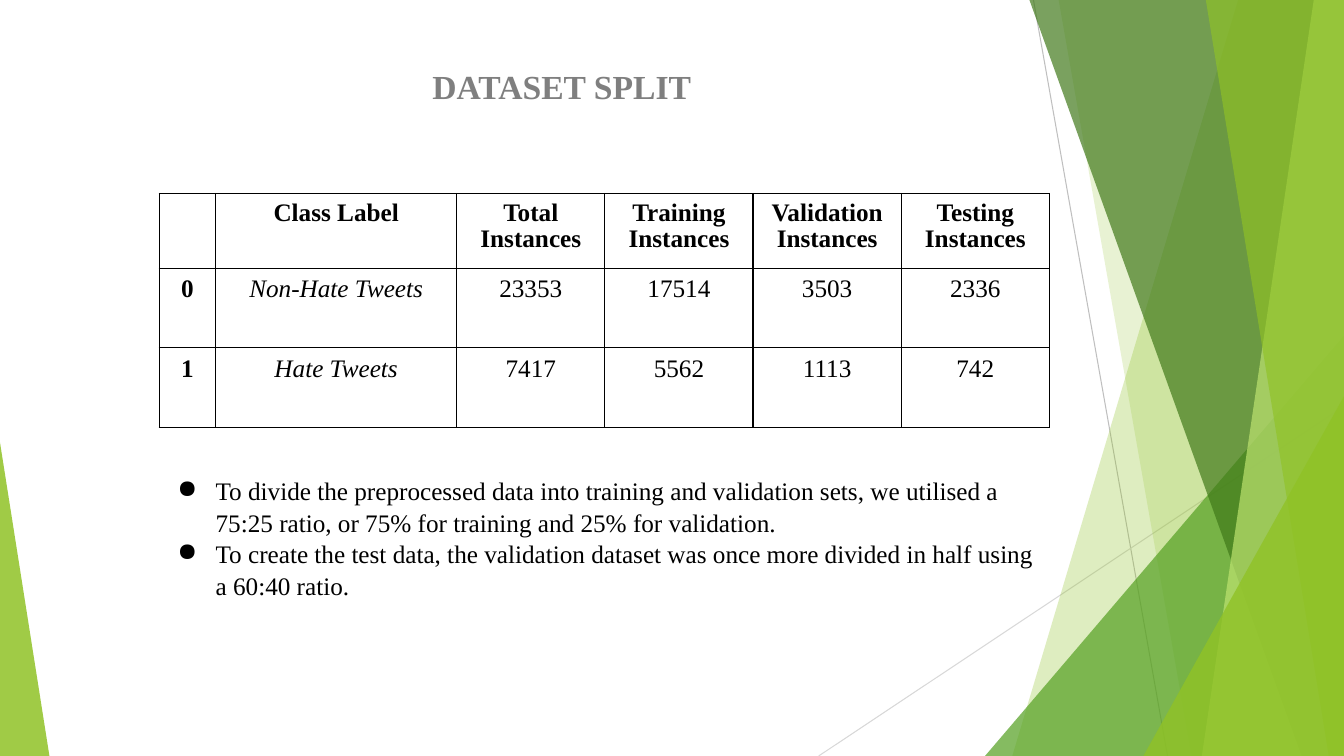
from dataclasses import dataclass

from lxml import etree
from pptx import Presentation
from pptx import util as u
from pptx.dml.color import RGBColor
from pptx.enum import shapes, text
from pptx.oxml import ns

BLACK = RGBColor(0x00, 0x00, 0x00)
WHITE = RGBColor(0xFF, 0xFF, 0xFF)
TITLE_GRAY = RGBColor(0x7F, 0x7F, 0x7F)
LINE_GRAY = RGBColor(0xBF, 0xBF, 0xBF)
PALE_GRAY = RGBColor(0xD8, 0xD8, 0xD8)
LIME = RGBColor(0x90, 0xC2, 0x26)
LIGHT_LIME = RGBColor(0xBF, 0xE4, 0x71)
GREEN = RGBColor(0x54, 0xA0, 0x21)
DARK_GREEN = RGBColor(0x3F, 0x78, 0x18)
FONT = "Times New Roman"
WIDTH, HEIGHT = 13.33, 7.5


@dataclass
class Ray:
    start: tuple[float, float]
    end: tuple[float, float]
    color: RGBColor


@dataclass
class Band:
    """Area from a slanted left edge to the right side of the slide."""
    top_x: float
    bottom_x: float
    color: RGBColor
    opacity: int


@dataclass
class Wedge:
    """Right triangle whose apex is at the left (0) or right (1)."""
    left: float
    top: float
    width: float
    apex: float
    color: RGBColor
    opacity: int


RAYS = [
    Ray((10.25, 0), (11.58, HEIGHT), LINE_GRAY),
    Ray((WIDTH, 4.03), (8.12, HEIGHT), PALE_GRAY),
]
FACETS = [
    Band(12.28, 10.04, LIME, 29),
    Band(10.5, 11.82, LIME, 20),
    Wedge(9.77, 3.33, 3.56, 1, GREEN, 71),
    Band(10.21, 12.91, DARK_GREEN, 69),
    Band(13.03, 11.92, LIGHT_LIME, 69),
    Band(11.96, 13.18, LIME, 65),
    Wedge(11.34, 3.93, 1.99, 1, LIME, 80),
    Wedge(0, 4.39, 0.49, 0, LIME, 85),
]
ROWS = [
    ["", "Class Label", "Total Instances", "Training Instances",
     "Validation Instances", "Testing Instances"],
    ["0", "Non-Hate Tweets", "23353", "17514", "3503", "2336"],
    ["1", "Hate Tweets", "7417", "5562", "1113", "742"],
]
COLUMN_WIDTHS = [0.56, 2.39] + [1.47] * 4
ROW_HEIGHTS = [0.74, 0.79, 0.79]
BULLETS = [
    "To divide the preprocessed data into training and validation sets, "
    "we utilised a 75:25 ratio, or 75% for training and 25% for validation.",
    "To create the test data, the validation dataset was once more divided "
    "in half using a 60:40 ratio.",
]


def draw_ray(slide, ray: Ray) -> None:
    line = slide.shapes.add_connector(
        shapes.MSO_CONNECTOR.STRAIGHT,
        *(u.Inches(v) for v in ray.start + ray.end))
    line.line.color.rgb = ray.color
    line.line.width = u.Pt(0.75)
    etree.SubElement(line._element.spPr, ns.qn("a:effectLst"))


def draw_facet(slide, facet: Band | Wedge) -> None:
    if isinstance(facet, Band):
        corners = [(facet.top_x, 0), (WIDTH, 0),
                   (WIDTH, HEIGHT), (facet.bottom_x, HEIGHT)]
        points = [(u.Inches(x), u.Inches(y)) for x, y in corners]
        builder = slide.shapes.build_freeform(*points[0], scale=1.0)
        builder.add_line_segments(points[1:], close=True)
        sp = builder.convert_to_shape()
    else:
        sp = slide.shapes.add_shape(
            shapes.MSO_SHAPE.ISOSCELES_TRIANGLE,
            u.Inches(facet.left), u.Inches(facet.top),
            u.Inches(facet.width), u.Inches(HEIGHT - facet.top))
        sp.adjustments[0] = facet.apex
    sp.shadow.inherit = False
    sp.line.fill.background()
    sp.fill.solid()
    sp.fill.fore_color.rgb = facet.color
    color = sp._element.spPr.find(".//" + ns.qn("a:srgbClr"))
    etree.SubElement(color, ns.qn("a:alpha"), val=str(facet.opacity * 1000))


def write(p, words: str, *, size: float = 18, color: RGBColor = BLACK,
          bold: bool = False, italic: bool = False, align=None,
          spacing: float | None = None) -> None:
    p.alignment = align
    p.line_spacing = spacing
    r = p.add_run()
    r.text = words
    r.font.name = FONT
    r.font.size = u.Pt(size)
    r.font.bold = bold
    r.font.italic = italic
    r.font.color.rgb = color


def add_box(slide, left: float, top: float, width: float, height: float,
            inset_y: float):
    box = slide.shapes.add_textbox(*(u.Inches(v) for v in (left, top, width, height)))
    tf = box.text_frame
    tf.word_wrap = True
    tf.margin_left = tf.margin_right = u.Inches(0.1)
    tf.margin_top = tf.margin_bottom = u.Inches(inset_y)
    return tf


def add_bullet(p) -> None:
    pPr = p._p.get_or_add_pPr()
    pPr.set("marL", str(u.Inches(0.5)))
    pPr.set("indent", str(u.Inches(-0.38)))
    color = etree.SubElement(pPr, ns.qn("a:buClr"))
    etree.SubElement(color, ns.qn("a:srgbClr"), val=str(BLACK))
    etree.SubElement(pPr, ns.qn("a:buChar"), char="●")


def add_borders(cell) -> None:
    tcPr = cell._tc.get_or_add_tcPr()
    for i, side in enumerate(("lnL", "lnR", "lnT", "lnB")):
        ln = etree.Element(ns.qn("a:" + side), w=str(u.Pt(1)))
        fill = etree.SubElement(ln, ns.qn("a:solidFill"))
        etree.SubElement(fill, ns.qn("a:srgbClr"), val=str(BLACK))
        tcPr.insert(i, ln)


def add_split_table(slide) -> None:
    table = slide.shapes.add_table(
        len(ROWS), len(COLUMN_WIDTHS), u.Inches(1.58), u.Inches(1.92),
        u.Inches(sum(COLUMN_WIDTHS)), u.Inches(sum(ROW_HEIGHTS))).table
    table.first_row = table.horz_banding = False
    for column, width in zip(table.columns, COLUMN_WIDTHS):
        column.width = u.Inches(width)
    for i, (row, height) in enumerate(zip(ROWS, ROW_HEIGHTS)):
        table.rows[i].height = u.Inches(height)
        for j, words in enumerate(row):
            cell = table.cell(i, j)
            cell.margin_left = cell.margin_right = u.Inches(0.07)
            cell.margin_top = cell.margin_bottom = u.Inches(0.07)
            cell.fill.background()
            add_borders(cell)
            if words:
                write(cell.text_frame.paragraphs[0], words,
                      bold=i == 0 or j == 0, italic=i > 0 and j == 1,
                      align=text.PP_ALIGN.CENTER,
                      spacing=0.93 if i == 0 else None)


def main() -> None:
    prs = Presentation()
    prs.slide_width, prs.slide_height = u.Inches(WIDTH), u.Inches(HEIGHT)
    slide = prs.slides.add_slide(prs.slide_layouts[6])
    slide.background.fill.solid()
    slide.background.fill.fore_color.rgb = WHITE
    for ray in RAYS:
        draw_ray(slide, ray)
    for facet in FACETS:
        draw_facet(slide, facet)

    tf = add_box(slide, 1.22, 0.6, 8.78, 0.5, 0.05)
    tf.vertical_anchor = text.MSO_ANCHOR.BOTTOM
    write(tf.paragraphs[0], "DATASET SPLIT ", size=24, color=TITLE_GRAY,
          bold=True, align=text.PP_ALIGN.CENTER)

    add_split_table(slide)

    tf = add_box(slide, 1.54, 4.6, 8.91, 1.41, 0.1)
    for i, words in enumerate(BULLETS):
        p = tf.add_paragraph() if i else tf.paragraphs[0]
        add_bullet(p)
        write(p, words, spacing=1.05)
    prs.save("out.pptx")


if __name__ == "__main__":
    main()
